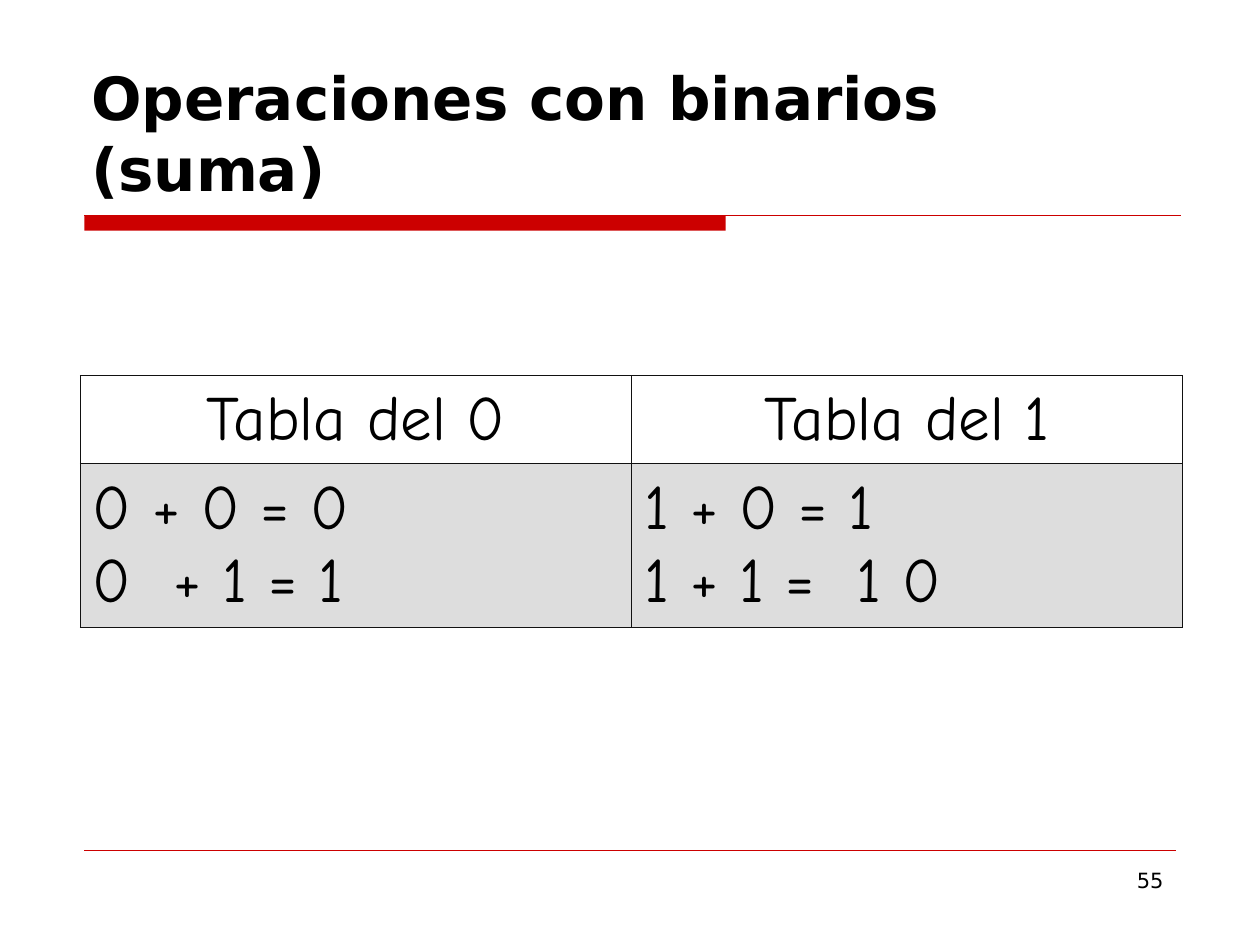
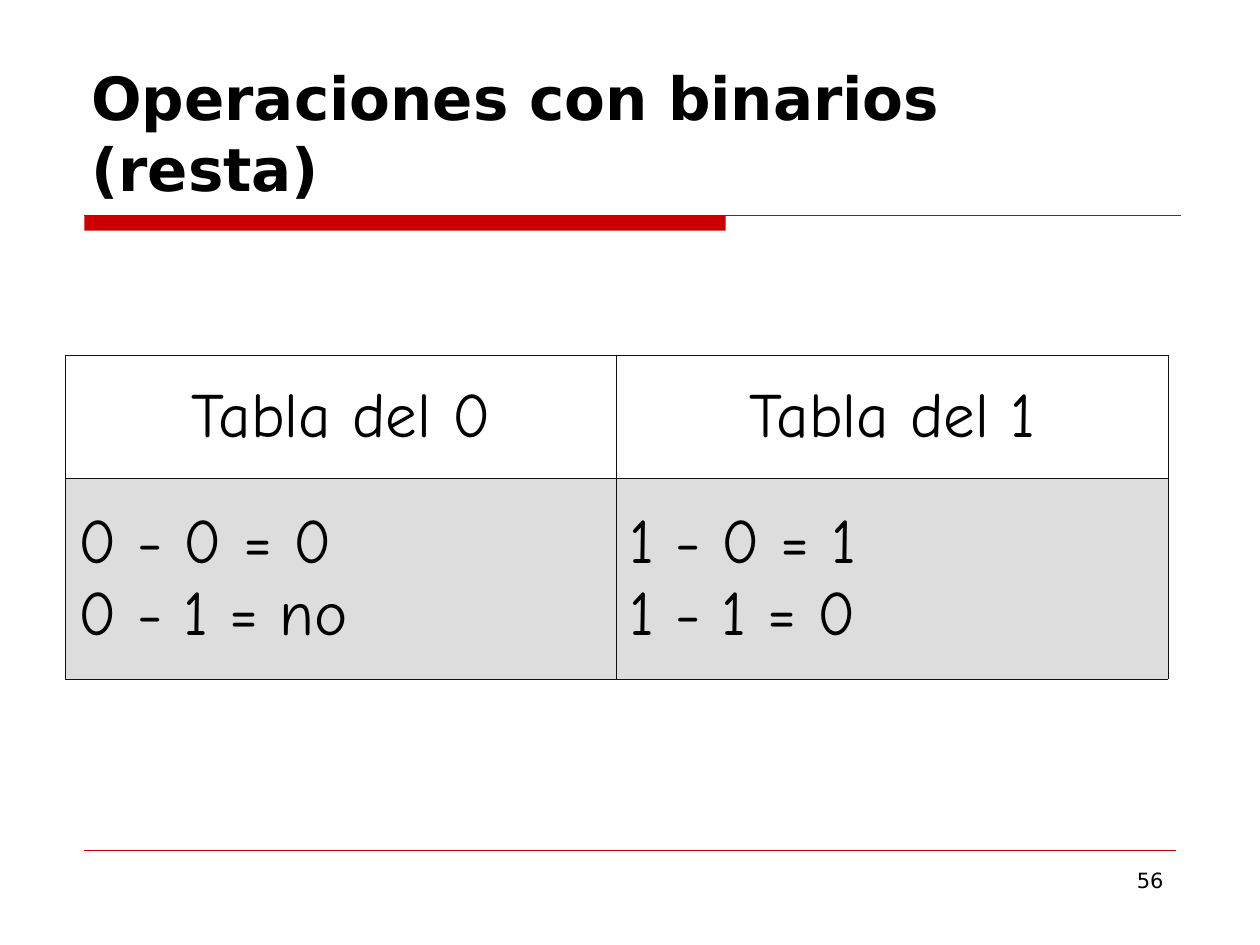
from lxml.etree import SubElement
from pptx import Presentation
from pptx.dml.color import RGBColor
from pptx.enum.shapes import MSO_CONNECTOR, MSO_SHAPE
from pptx.enum.text import MSO_ANCHOR, MSO_AUTO_SIZE, PP_ALIGN
from pptx.oxml.ns import qn
from pptx.util import Pt

COLORS = {
    "accent": "CC0000",
    "text": "000000",
    "border": "111111",
    "header": "FFFFFF",
    "body": "DDDDDD",
}
TITLE_FONT = {"name": "DejaVu Sans", "size": Pt(34), "bold": True}
NUMBER_FONT = {"name": "DejaVu Sans", "size": Pt(12), "bold": False}
TABLE_FONT = {"name": "Comic Neue", "size": Pt(36), "bold": False}
TITLE_FRAME = {
    "vertical_anchor": MSO_ANCHOR.BOTTOM,
    "auto_size": MSO_AUTO_SIZE.NONE,
    "word_wrap": True,
}
PLAIN_TABLE = {"first_row": False, "horz_banding": False}
RULE_LEFT = 48.24
TABLE_WIDTH = 630
BORDER_WIDTH = 0.45
HEADINGS = ["Tabla del 0", "Tabla del 1"]

OPERATIONS = [
    {
        "title": "Operaciones con binarios (suma)",
        "number": "55",
        "corner": (45.9, 214.6),
        "row_heights": (50.4, 93.6),
        "sums": ["0 + 0 = 0\n0  + 1 = 1", "1 + 0 = 1\n1 + 1 =  1 0"],
    },
    {
        "title": "Operaciones con binarios (resta)",
        "number": "56",
        "corner": (37.4, 203),
        "row_heights": (70.5, 114.5),
        "sums": ["0 - 0 = 0\n0 - 1 = no", "1 - 0 = 1\n1 - 1 = 0"],
    },
]


def rgb(role):
    return RGBColor.from_string(COLORS[role])


def apply(target, values):
    for attribute, value in values.items():
        setattr(target, attribute, value)


def write(frame, text, font, alignment):
    """Fill a text frame, one paragraph for each line of text."""
    frame.text = text
    for paragraph in frame.paragraphs:
        paragraph.alignment = alignment
        for run in paragraph.runs:
            apply(run.font, font)
            run.font.color.rgb = rgb("text")


def add_title(slide, text):
    title = slide.shapes.title
    apply(title, {"left": Pt(45), "top": Pt(24), "width": Pt(630), "height": Pt(96)})
    apply(title.text_frame, TITLE_FRAME)
    write(title.text_frame, text, TITLE_FONT, PP_ALIGN.LEFT)


def add_rule(slide, right, top, weight):
    rule = slide.shapes.add_connector(
        MSO_CONNECTOR.STRAIGHT, Pt(RULE_LEFT), Pt(top), Pt(right), Pt(top))
    rule.line.color.rgb = rgb("accent")
    rule.line.width = Pt(weight)
    SubElement(rule.line._get_or_add_ln().getparent(), qn("a:effectLst"))


def add_title_band(slide):
    top = 123.1
    band = slide.shapes.add_shape(
        MSO_SHAPE.RECTANGLE, Pt(RULE_LEFT), Pt(top), Pt(366.4), Pt(8.8))
    band.shadow.inherit = False
    band.fill.solid()
    band.fill.fore_color.rgb = rgb("accent")
    band.line.fill.background()
    add_rule(slide, 674.64, top, 0.75)


def add_footer(slide, number):
    add_rule(slide, 672, 486, 0.25)
    number_box = slide.shapes.add_textbox(Pt(516), Pt(492), Pt(156), Pt(37.5))
    number_box.text_frame.word_wrap = True
    write(number_box.text_frame, number, NUMBER_FONT, PP_ALIGN.RIGHT)


def add_borders(cell):
    properties = cell._tc.get_or_add_tcPr()
    for side in ("lnL", "lnR", "lnT", "lnB"):
        border = SubElement(properties, qn(f"a:{side}"), w=str(Pt(BORDER_WIDTH)))
        fill = SubElement(border, qn("a:solidFill"))
        SubElement(fill, qn("a:srgbClr"), val=COLORS["border"])


def format_cell(cell, text, role, alignment):
    add_borders(cell)
    cell.fill.solid()
    cell.fill.fore_color.rgb = rgb(role)
    cell.vertical_anchor = MSO_ANCHOR.MIDDLE
    write(cell.text_frame, text, TABLE_FONT, alignment)


def add_operation_table(slide, corner, row_heights, sums):
    left, top = corner
    table = slide.shapes.add_table(
        2, len(HEADINGS), Pt(left), Pt(top),
        Pt(TABLE_WIDTH), Pt(sum(row_heights))).table
    apply(table, PLAIN_TABLE)
    for row, height in zip(table.rows, row_heights):
        row.height = Pt(height)
    for column, (heading, results) in enumerate(zip(HEADINGS, sums)):
        format_cell(table.cell(0, column), heading, "header", PP_ALIGN.CENTER)
        format_cell(table.cell(1, column), results, "body", PP_ALIGN.LEFT)


def main():
    presentation = Presentation()
    apply(presentation, {"slide_width": Pt(720), "slide_height": Pt(540)})
    title_only = presentation.slide_layouts[5]
    for operation in OPERATIONS:
        slide = presentation.slides.add_slide(title_only)
        add_title_band(slide)
        add_footer(slide, operation["number"])
        add_title(slide, operation["title"])
        add_operation_table(
            slide, operation["corner"], operation["row_heights"], operation["sums"])
    presentation.save("out.pptx")


if __name__ == "__main__":
    main()
